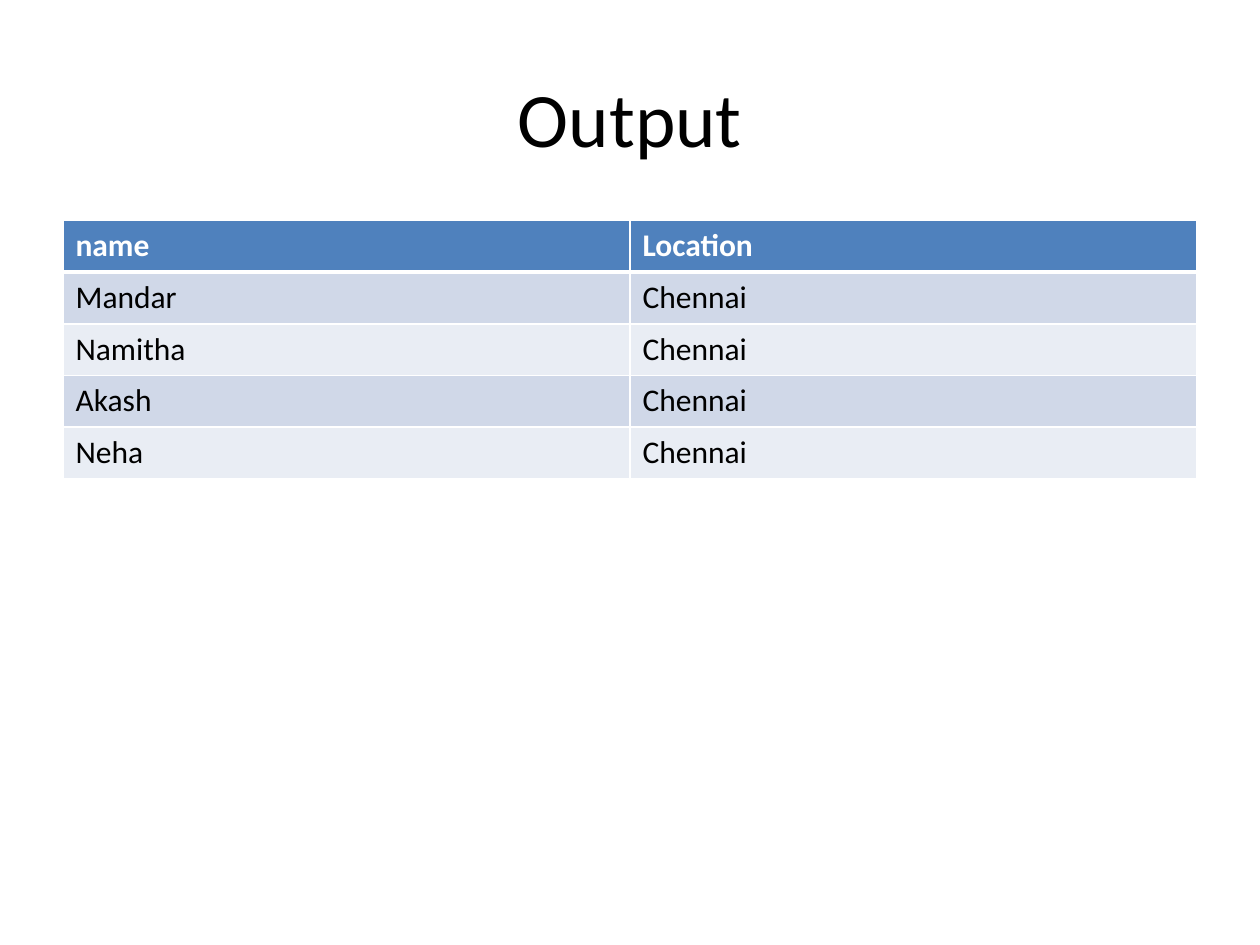
from dataclasses import dataclass

import lxml.etree
import pptx
import pptx.dml.color
import pptx.enum.text
import pptx.oxml.ns
import pptx.util

Inches = pptx.util.Inches


@dataclass(frozen=True)
class Theme:
    font: str = "Calibri"
    title_size: int = 44
    body_size: int = 18
    ink: str = "000000"
    paper: str = "FFFFFF"
    header: str = "4F81BD"
    bands: tuple = ("D0D8E8", "E9EDF4")
    rule: float = 1
    header_rule: float = 3


class SlideBuilder:
    def __init__(self, slide, theme):
        self.slide = slide
        self.theme = theme

    def style(self, paragraph, size, color, bold=False):
        for run in paragraph.runs:
            run.font.name = self.theme.font
            run.font.size = pptx.util.Pt(size)
            run.font.bold = bold
            run.font.color.rgb = pptx.dml.color.RGBColor.from_string(color)

    def title(self, text, left, top, width, height):
        heading = self.slide.shapes.add_textbox(
            Inches(left), Inches(top), Inches(width), Inches(height))
        frame = heading.text_frame
        frame.word_wrap = True
        frame.vertical_anchor = pptx.enum.text.MSO_ANCHOR.MIDDLE
        frame.text = text
        frame.paragraphs[0].alignment = pptx.enum.text.PP_ALIGN.CENTER
        self.style(frame.paragraphs[0], self.theme.title_size, self.theme.ink)

    def borders(self, cell, widths):
        properties = cell._tc.get_or_add_tcPr()
        qn = pptx.oxml.ns.qn
        for index, (side, width) in enumerate(widths.items()):
            line = lxml.etree.Element(
                qn(f"a:ln{side}"), w=str(pptx.util.Pt(width)))
            fill = lxml.etree.SubElement(line, qn("a:solidFill"))
            lxml.etree.SubElement(fill, qn("a:srgbClr"), val=self.theme.paper)
            properties.insert(index, line)

    def table(self, rows, left, top, width, row_height):
        theme = self.theme
        table = self.slide.shapes.add_table(
            len(rows), len(rows[0]), Inches(left), Inches(top),
            Inches(width), Inches(row_height * len(rows))).table
        for row_index, values in enumerate(rows):
            is_header = row_index == 0
            fill = theme.header if is_header else theme.bands[(row_index - 1) % 2]
            for column_index, value in enumerate(values):
                cell = table.cell(row_index, column_index)
                cell.text_frame.text = value
                self.style(cell.text_frame.paragraphs[0], theme.body_size,
                           theme.paper if is_header else theme.ink, is_header)
                cell.fill.solid()
                cell.fill.fore_color.rgb = pptx.dml.color.RGBColor.from_string(fill)
                self.borders(cell, {
                    "L": theme.rule,
                    "R": theme.rule,
                    "T": theme.header_rule if row_index == 1 else theme.rule,
                    "B": theme.header_rule if is_header else theme.rule,
                })


def main():
    deck = pptx.Presentation()
    deck.slide_width, deck.slide_height = Inches(10), Inches(7.5)
    builder = SlideBuilder(deck.slides.add_slide(deck.slide_layouts[6]), Theme())

    # Heading
    builder.title("Output", 0.5, 0.3, 9, 1.25)

    # Query result: every person shares one location
    people = ["Mandar", "Namitha", "Akash", "Neha"]
    result = [("name", "Location")] + [(person, "Chennai") for person in people]
    builder.table(result, 0.5, 1.75, 9, 0.41)

    deck.save("out.pptx")


if __name__ == "__main__":
    main()
